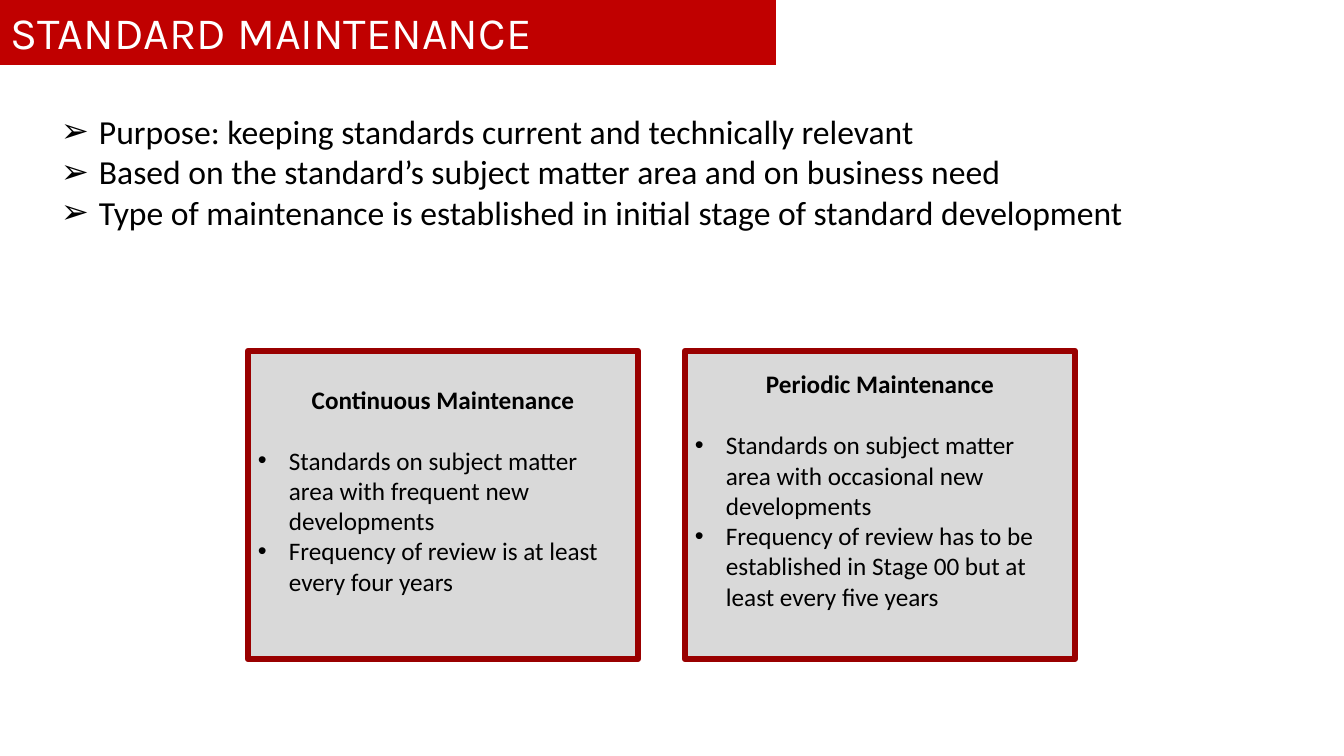
import dataclasses

import lxml.etree
import pptx
import pptx.dml.color
import pptx.enum.shapes
import pptx.enum.text
import pptx.oxml.ns
import pptx.util

PX = 12192000 / 1344
COLORS = {
    "banner": "C00000",
    "card": "D9D9D9",
    "border": "990000",
    "text": "000000",
    "title": "FFFFFF",
}
CARD_TOP, CARD_W, CARD_H = 351, 390, 308


@dataclasses.dataclass
class Card:
    left: int
    heading: str
    points: list[str]


PURPOSES = [
    "Purpose: keeping standards current and technically relevant",
    "Based on the standard’s subject matter area and on business need",
    "Type of maintenance is established in initial stage of standard development",
]
CARDS = [
    Card(685, "Periodic Maintenance", [
        "Standards on subject matter area with occasional new developments",
        "Frequency of review has to be established in Stage 00 but at least every five years",
    ]),
    Card(248, "Continuous Maintenance", [
        "Standards on subject matter area with frequent new developments",
        "Frequency of review is at least every four years",
    ]),
]


def px(n: int) -> pptx.util.Emu:
    return pptx.util.Emu(round(n * PX))


def rgb(name: str) -> pptx.dml.color.RGBColor:
    return pptx.dml.color.RGBColor.from_string(COLORS[name])


def add_run(p, text: str, size: int, font: str = "Calibri",
            color: str = "text", bold: bool = False) -> None:
    r = p.add_run()
    r.text = text
    r.font.name = font
    r.font.size = pptx.util.Pt(size)
    r.font.bold = bold
    r.font.color.rgb = rgb(color)


def set_bullet(p, char: str, indent: int) -> None:
    """Give the paragraph a hanging bullet."""
    pPr = p._p.get_or_add_pPr()
    pPr.set("marL", str(px(indent)))
    pPr.set("indent", str(-px(indent)))
    qn = pptx.oxml.ns.qn
    lxml.etree.SubElement(pPr, qn("a:buFont"), typeface="Arial")
    lxml.etree.SubElement(pPr, qn("a:buChar"), char=char)


def add_title(s) -> None:
    sp = s.shapes.title
    sp.left, sp.top, sp.width, sp.height = px(0), px(0), px(776), px(65)
    sp.fill.solid()
    sp.fill.fore_color.rgb = rgb("banner")
    tf = sp.text_frame
    tf.auto_size = pptx.enum.text.MSO_AUTO_SIZE.NONE
    tf.vertical_anchor = pptx.enum.text.MSO_ANCHOR.TOP
    p = tf.paragraphs[0]
    p.alignment = pptx.enum.text.PP_ALIGN.LEFT
    add_run(p, "STANDARD MAINTENANCE", 32, "Karla", "title")


def add_purposes(s) -> None:
    sp = s.shapes.add_textbox(px(51), px(106), px(1116), px(163))
    tf = sp.text_frame
    tf.word_wrap = True
    for i, text in enumerate(PURPOSES):
        p = tf.add_paragraph() if i else tf.paragraphs[0]
        set_bullet(p, "➢", 38)
        add_run(p, text, 24)


def add_card(s, card: Card) -> None:
    sp = s.shapes.add_shape(
        pptx.enum.shapes.MSO_SHAPE.FLOWCHART_PROCESS,
        px(card.left), px(CARD_TOP), px(CARD_W), px(CARD_H))
    sp.shadow.inherit = False
    sp.fill.solid()
    sp.fill.fore_color.rgb = rgb("card")
    sp.line.color.rgb = rgb("border")
    sp.line.width = pptx.util.Pt(4.5)
    tf = sp.text_frame
    tf.word_wrap = True
    tf.vertical_anchor = pptx.enum.text.MSO_ANCHOR.MIDDLE
    tf.margin_bottom = px(35)
    p = tf.paragraphs[0]
    p.alignment = pptx.enum.text.PP_ALIGN.CENTER
    p.space_after = pptx.util.Pt(22)
    add_run(p, card.heading, 18, bold=True)
    for text in card.points:
        p = tf.add_paragraph()
        p.alignment = pptx.enum.text.PP_ALIGN.LEFT
        set_bullet(p, "•", 31)
        add_run(p, text, 18)


def main() -> None:
    prs = pptx.Presentation()
    prs.slide_width, prs.slide_height = px(1344), px(756)
    s = prs.slides.add_slide(prs.slide_layouts.get_by_name("Title Only"))
    add_title(s)
    for card in CARDS:
        add_card(s, card)
    add_purposes(s)
    prs.save("out.pptx")


if __name__ == "__main__":
    main()
